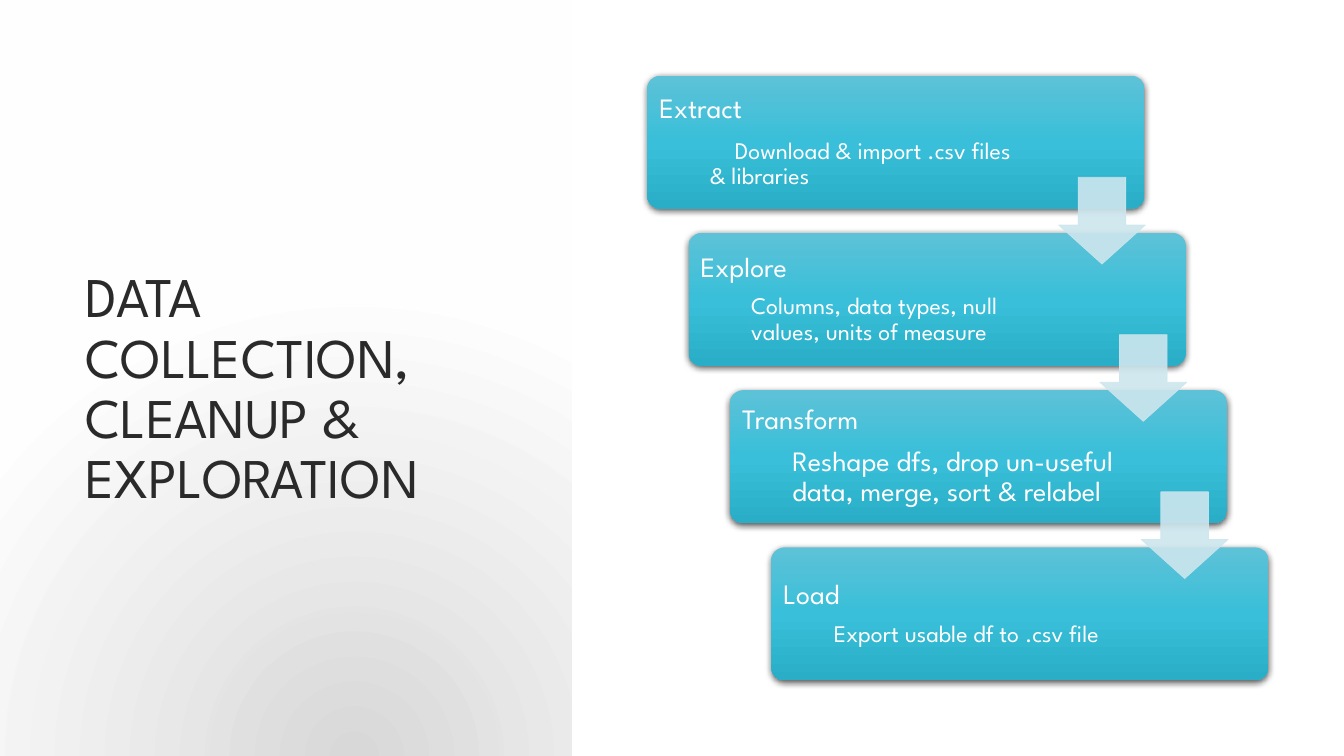
from dataclasses import dataclass

from lxml import etree
from pptx import Presentation
from pptx.dml.color import RGBColor
from pptx.enum import shapes, text
from pptx.oxml import ns
from pptx.util import Inches, Pt


@dataclass(frozen=True)
class Theme:
    font: str = "League Spartan"
    title_color: str = "2A2A2A"
    step_color: str = "FFFFFF"
    arrow_color: str = "CDE6EE"
    shadow_color: str = "000000"
    panel_stops: tuple = ((0, "D9D9D9", 100), (100, "FFFFFF", 89))
    step_stops: tuple = ((0, "5DC2D8", 100), (50, "39BFD9", 100), (100, "2AAEC8", 100))
    title_size: float = 40
    heading_size: float = 20
    detail_size: float = 17


@dataclass(frozen=True)
class Box:
    left: float
    top: float
    width: float
    height: float

    def lengths(self) -> tuple:
        return tuple(map(Inches, (self.left, self.top, self.width, self.height)))


@dataclass(frozen=True)
class Step:
    heading: str
    detail: str
    text_width: float
    text_height: float
    detail_size: float
    space_before: float = 8
    first_indent: float = 0


THEME = Theme()
STEP_WIDTH, STEP_HEIGHT = 4.93, 1.32
STEP_LEFT, STEP_TOP = 6.42, 0.75
SHIFT_RIGHT, SHIFT_DOWN = 0.41, 1.56
ARROW_SIZE = 0.86
STEPS = (
    Step("Extract", "Download & import .csv files & libraries",
         3.76, 1.14, THEME.detail_size, 10, 0.25),
    Step("Explore", "Columns, data types, null values, units of measure",
         3.58, 1.14, THEME.detail_size),
    Step("Transform", "Reshape dfs, drop un-useful data, merge, sort & relabel",
         4.15, 1.49, THEME.heading_size),
    Step("Load", "Export usable df to .csv file",
         3.84, 0.84, THEME.detail_size),
)


def add_child(parent, tag: str, **attributes):
    values = {name: str(value) for name, value in attributes.items()}
    return etree.SubElement(parent, ns.qn(tag), values)


def add_color(parent, color: str, opacity: int) -> None:
    element = add_child(parent, "a:srgbClr", val=color)
    if opacity < 100:
        add_child(element, "a:alpha", val=opacity * 1000)


def add_plain_shape(slide, kind, box: Box):
    shape = slide.shapes.add_shape(kind, *box.lengths())
    shape.shadow.inherit = False
    shape.line.fill.background()
    return shape


def fill_gradient(shape, stops: tuple):
    shape.fill.background()
    properties = shape._element.spPr
    gradient = etree.Element(ns.qn("a:gradFill"), rotWithShape="1")
    properties.replace(properties.find(ns.qn("a:noFill")), gradient)
    stop_list = add_child(gradient, "a:gsLst")
    for position, color, opacity in stops:
        add_color(add_child(stop_list, "a:gs", pos=position * 1000), color, opacity)
    return gradient


def add_panel(slide) -> None:
    panel = add_plain_shape(slide, shapes.MSO_SHAPE.RECTANGLE, Box(0, 0, 5.67, 7.5))
    gradient = fill_gradient(panel, THEME.panel_stops)
    circle = add_child(gradient, "a:path", path="circle")
    add_child(circle, "a:fillToRect", l=62000, t=120000, r=38000, b=-20000)


def add_text_box(slide, box: Box, anchor, inset: float):
    frame = slide.shapes.add_textbox(*box.lengths()).text_frame
    frame.word_wrap = True
    frame.vertical_anchor = anchor
    frame.margin_left = frame.margin_right = Inches(inset)
    frame.margin_top = frame.margin_bottom = Inches(inset)
    return frame


def format_paragraph(paragraph, size: float, color: str, space_before: float = 0) -> None:
    paragraph.line_spacing = 0.9
    paragraph.space_before = Pt(space_before)
    for run in paragraph.runs:
        run.font.name = THEME.font
        run.font.size = Pt(size)
        run.font.color.rgb = RGBColor.from_string(color)


def add_title(slide) -> None:
    frame = add_text_box(slide, Box(0.75, 0.75, 4.25, 4.42),
                         text.MSO_ANCHOR.BOTTOM, 0.1)
    frame.text = "DATA COLLECTION, CLEANUP & EXPLORATION"
    format_paragraph(frame.paragraphs[0], THEME.title_size, THEME.title_color)


def add_step(slide, step: Step, left: float, top: float) -> None:
    card = add_plain_shape(slide, shapes.MSO_SHAPE.ROUNDED_RECTANGLE,
                           Box(left, top, STEP_WIDTH, STEP_HEIGHT))
    card.adjustments[0] = 0.1
    gradient = fill_gradient(card, THEME.step_stops)
    add_child(gradient, "a:lin", ang=90 * 60000, scaled=0)
    effects = card._element.spPr.find(ns.qn("a:effectLst"))
    shadow = add_child(effects, "a:outerShdw", blurRad=Pt(5), dist=Pt(1.5),
                       dir=90 * 60000, algn="ctr", rotWithShape=0)
    add_color(shadow, THEME.shadow_color, 63)

    text_top = top + (STEP_HEIGHT - step.text_height) / 2
    frame = add_text_box(slide, Box(left + 0.04, text_top, step.text_width, step.text_height),
                         text.MSO_ANCHOR.MIDDLE, 0.08)
    frame.text = step.heading
    format_paragraph(frame.paragraphs[0], THEME.heading_size, THEME.step_color, 8)
    detail = frame.add_paragraph()
    detail.text = step.detail
    detail.level = 1
    format_paragraph(detail, step.detail_size, THEME.step_color, step.space_before)
    properties = detail._p.get_or_add_pPr()
    properties.set("marL", str(Inches(0.5)))
    properties.set("indent", str(Inches(step.first_indent)))


def add_arrow(slide, left: float, top: float) -> None:
    arrow = add_plain_shape(slide, shapes.MSO_SHAPE.DOWN_ARROW,
                            Box(left, top, ARROW_SIZE, ARROW_SIZE))
    arrow.adjustments[0] = 0.55
    arrow.adjustments[1] = 0.45
    arrow.line.width = Pt(0.5)
    for fill in (arrow.fill, arrow.line.fill):
        fill.solid()
        fill.fore_color.rgb = RGBColor.from_string(THEME.arrow_color)
    for color in arrow._element.spPr.iter(ns.qn("a:srgbClr")):
        add_child(color, "a:alpha", val=90000)


def main() -> None:
    presentation = Presentation()
    presentation.slide_width = Inches(13.33)
    presentation.slide_height = Inches(7.5)
    slide = presentation.slides.add_slide(presentation.slide_layouts[6])
    add_panel(slide)
    add_title(slide)
    for index, step in enumerate(STEPS):
        add_step(slide, step, STEP_LEFT + index * SHIFT_RIGHT, STEP_TOP + index * SHIFT_DOWN)
    for index in range(len(STEPS) - 1):
        add_arrow(slide, 10.5 + index * SHIFT_RIGHT, 1.76 + index * SHIFT_DOWN)
    presentation.save("out.pptx")


if __name__ == "__main__":
    main()
